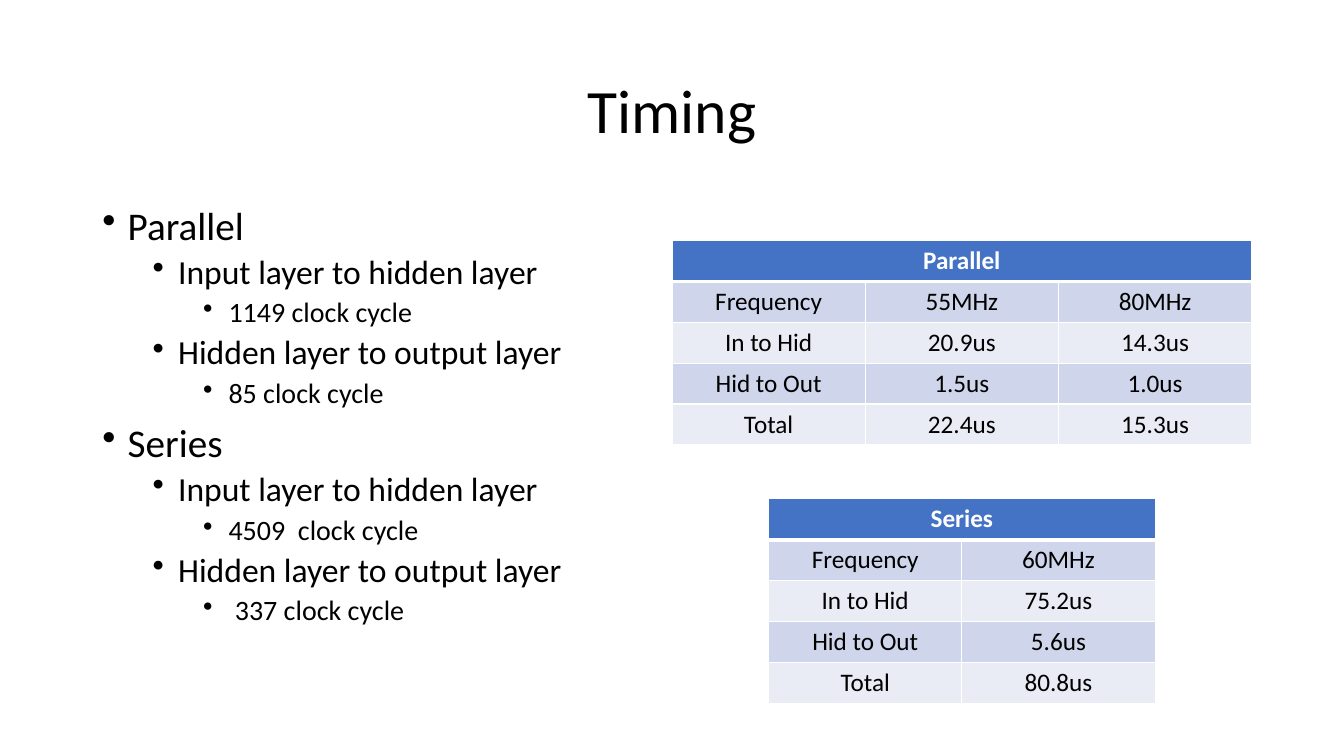
"""Build the Timing slide: clock cycles as bullets beside two timing tables."""
from dataclasses import dataclass

from lxml import etree
from pptx import Presentation
from pptx import util as u
from pptx.dml.color import RGBColor
from pptx.enum import text
from pptx.oxml import ns
from pptx.slide import Slide
from pptx.table import _Cell
from pptx.text.text import _Paragraph

BLACK = RGBColor(0x00, 0x00, 0x00)
WHITE = RGBColor(0xFF, 0xFF, 0xFF)
HEADER_BLUE = RGBColor(0x44, 0x72, 0xC4)
BANDS = (RGBColor(0xE9, 0xEB, 0xF5), RGBColor(0xCF, 0xD5, 0xEA))
FONT = "Calibri"
COLUMN_WIDTH = u.Cm(4.87)
ROW_HEIGHT = u.Cm(1.03)
LEFT, WIDTH = u.Cm(2.33), u.Cm(29.21)
TABLE_CENTRE = u.Cm(24.24)
INDENT = u.Cm(0.64)
LEVEL_STEP = u.Cm(1.27)
LEVEL_SIZES = (28, 24, 20)
LEVEL_GAPS = (10, 5, 5)


@dataclass(frozen=True)
class Mode:
    """One way of running the network, with its cycle counts and timings."""

    name: str
    hidden_cycles: str
    output_cycles: str
    table_top: u.Length
    rows: tuple[tuple[str, ...], ...]

    def bullets(self) -> list[tuple[int, str]]:
        """Return the outline as pairs of level and wording."""
        return [
            (0, self.name),
            (1, "Input layer to hidden layer"),
            (2, f"{self.hidden_cycles} clock cycle"),
            (1, "Hidden layer to output layer"),
            (2, f"{self.output_cycles} clock cycle"),
        ]


MODES = (
    Mode("Parallel", "1149", "85", u.Cm(6.06), (
        ("Frequency", "55MHz", "80MHz"),
        ("In to Hid", "20.9us", "14.3us"),
        ("Hid to Out", "1.5us", "1.0us"),
        ("Total", "22.4us", "15.3us"),
    )),
    Mode("Series", "4509 ", " 337", u.Cm(12.57), (
        ("Frequency", "60MHz"),
        ("In to Hid", "75.2us"),
        ("Hid to Out", "5.6us"),
        ("Total", "80.8us"),
    )),
)


def format_runs(para: _Paragraph, size: int, color: RGBColor = BLACK, bold: bool = False) -> None:
    """Apply the slide font to every run of a paragraph."""
    for span in para.runs:
        span.font.name = FONT
        span.font.size = u.Pt(size)
        span.font.bold = bold
        span.font.color.rgb = color


def add_bullet(para: _Paragraph, level: int) -> None:
    """Indent a paragraph to its level and give it a round bullet."""
    para.level = level
    para.line_spacing = 0.9
    para.space_before = u.Pt(LEVEL_GAPS[level])
    properties = para._p.get_or_add_pPr()
    properties.set("marL", str(INDENT + level * LEVEL_STEP))
    properties.set("indent", str(-INDENT))
    etree.SubElement(properties, ns.qn("a:buChar"), char="•")


def add_title(page: Slide, wording: str) -> None:
    """Place the centred slide title."""
    box = page.shapes.add_textbox(LEFT, u.Cm(1.01), WIDTH, u.Cm(3.68))
    frame = box.text_frame
    frame.word_wrap = True
    frame.vertical_anchor = text.MSO_ANCHOR.MIDDLE
    frame.text = wording
    para = frame.paragraphs[0]
    para.alignment = text.PP_ALIGN.CENTER
    para.line_spacing = 0.9
    format_runs(para, 44)


def add_outline(page: Slide, modes: tuple[Mode, ...]) -> None:
    """Place the bulleted outline of all modes."""
    box = page.shapes.add_textbox(LEFT, u.Cm(5.07), WIDTH, u.Cm(12.09))
    frame = box.text_frame
    frame.word_wrap = True
    bullets = [bullet for mode in modes for bullet in mode.bullets()]
    frame.text = "\n".join(wording for _, wording in bullets)
    for para, (level, _) in zip(frame.paragraphs, bullets):
        add_bullet(para, level)
        format_runs(para, LEVEL_SIZES[level])


def add_borders(cell: _Cell, row: int) -> None:
    """Draw white cell borders, thicker under the header row."""
    properties = cell._tc.get_or_add_tcPr()
    thick_side = {0: "B", 1: "T"}.get(row)
    for side in "LRTB":
        width = u.Pt(3 if side == thick_side else 1)
        line = etree.SubElement(properties, ns.qn(f"a:ln{side}"), w=str(width))
        fill = etree.SubElement(line, ns.qn("a:solidFill"))
        etree.SubElement(fill, ns.qn("a:srgbClr"), val=str(WHITE))


def add_timing_table(page: Slide, mode: Mode) -> None:
    """Place the timing table of one mode, centred in the right half."""
    columns = len(mode.rows[0])
    lines = ((mode.name,) + ("",) * (columns - 1),) + mode.rows
    width = columns * COLUMN_WIDTH
    table = page.shapes.add_table(
        len(lines), columns, TABLE_CENTRE - width // 2, mode.table_top,
        width, len(lines) * ROW_HEIGHT,
    ).table
    table.cell(0, 0).merge(table.cell(0, columns - 1))
    for column in table.columns:
        column.width = COLUMN_WIDTH
    for row, line in enumerate(lines):
        table.rows[row].height = ROW_HEIGHT
        header = row == 0
        for column, wording in enumerate(line):
            cell = table.cell(row, column)
            add_borders(cell, row)
            cell.fill.solid()
            cell.fill.fore_color.rgb = HEADER_BLUE if header else BANDS[row % 2]
            cell.text_frame.text = wording
            para = cell.text_frame.paragraphs[0]
            para.alignment = text.PP_ALIGN.CENTER
            format_runs(para, 18, WHITE if header else BLACK, header)


def main() -> None:
    """Build and save the deck."""
    deck = Presentation()
    deck.slide_width, deck.slide_height = u.Cm(33.87), u.Cm(19.05)
    page = deck.slides.add_slide(deck.slide_layouts[6])
    add_title(page, "Timing")
    add_outline(page, MODES)
    for mode in MODES:
        add_timing_table(page, mode)
    deck.save("out.pptx")


main()
